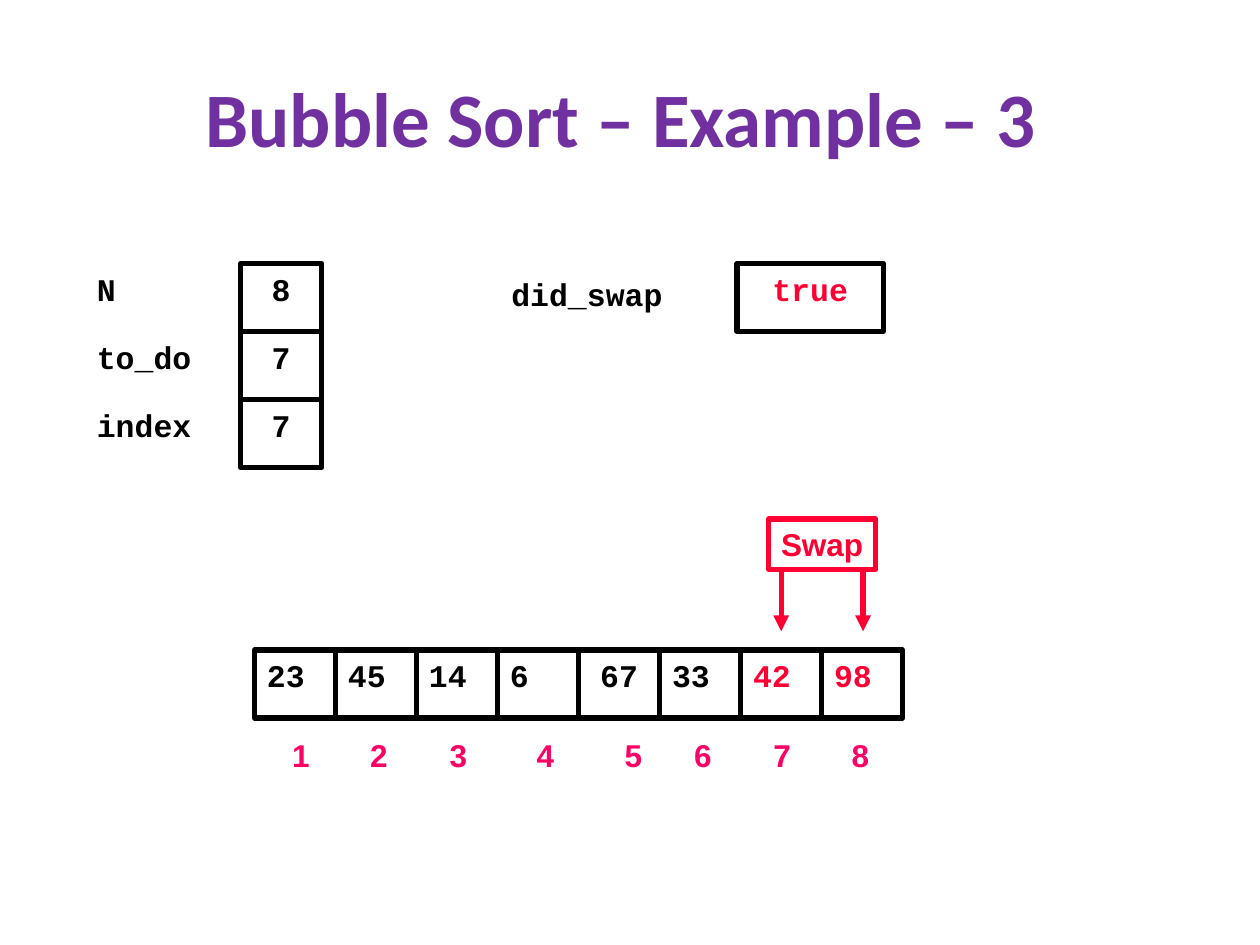
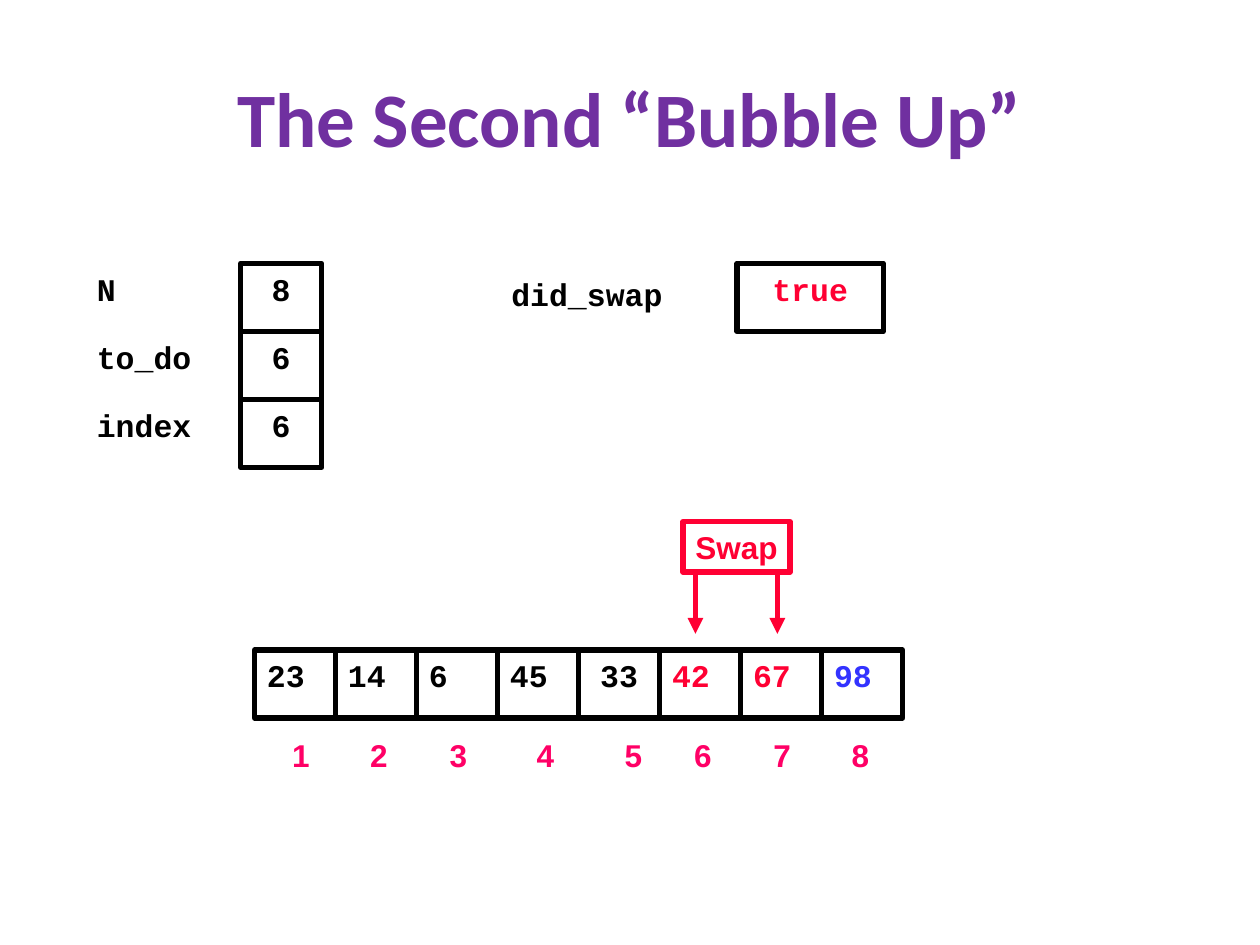
from lxml.etree import SubElement
from pptx import Presentation
from pptx.dml.color import RGBColor
from pptx.enum.shapes import MSO_CONNECTOR, MSO_SHAPE
from pptx.enum.text import MSO_ANCHOR, PP_ALIGN
from pptx.oxml.ns import qn
from pptx.util import Inches, Pt

# Content: sorted holds the 1-based positions already in place
STEPS = [
    {"title": "Bubble Sort – Example – 3 ",
     "variables": [("N", "8"), ("to_do", "7"), ("index", "7")],
     "did_swap": "true",
     "values": [23, 45, 14, 6, 67, 33, 42, 98],
     "swapped": (7, 8), "sorted": (), "swap_at": (6.1, 4.12)},
    {"title": "The Second “Bubble Up”",
     "variables": [("N", "8"), ("to_do", "6"), ("index", "6")],
     "did_swap": "true",
     "values": [23, 14, 6, 45, 33, 42, 67, 98],
     "swapped": (6, 7), "sorted": (8,), "swap_at": (5.42, 4.14)},
]

# Shared style
BLACK = RGBColor(0x00, 0x00, 0x00)
PURPLE = RGBColor(0x70, 0x30, 0xA0)
RED = RGBColor(0xFF, 0x00, 0x33)
PINK = RGBColor(0xFF, 0x00, 0x66)
BLUE = RGBColor(0x33, 0x33, 0xFF)
CODE, SANS, TITLE_FONT = "Courier New", "Arial", "Calibri"
LEFT, CENTER = PP_ALIGN.LEFT, PP_ALIGN.CENTER

# Grid, in inches
SLIDE_W, SLIDE_H = 10, 7.5
CELL_W, CELL_H, LABEL_H = 0.643, 0.54, 0.4
ARRAY_X, ARRAY_Y = 2.02, 5.16
VARIABLES_Y, LABEL_X, VALUE_X = 2.09, 0.67, 1.91
CENTERED_POSITION = 5
POSITION_TABS = (0.62, 1.25, 1.94, 2.64, 3.19, 3.82, 4.44)
SWAP_W, ARROW_INSET, ARROW_GAP, ARROW_LEN = 0.85, 0.1, 0.65, 0.49


def write(box, text, color=BLACK, font=CODE, size=18, align=LEFT,
          anchor=MSO_ANCHOR.TOP, wrap=False, tabs=()):
    frame = box.text_frame
    frame.word_wrap = wrap
    frame.vertical_anchor = anchor
    paragraph = frame.paragraphs[0]
    paragraph.text = text
    paragraph.alignment = align
    if tabs:
        stops = SubElement(paragraph._p.get_or_add_pPr(), qn("a:tabLst"))
        for tab in tabs:
            SubElement(stops, qn("a:tab"), pos=str(Inches(tab)), algn="l")
    for run in paragraph.runs:
        run.font.name, run.font.size, run.font.bold = font, Pt(size), True
        run.font.color.rgb = color


def label(slide, x, y, w, h, text, **style):
    box = slide.shapes.add_textbox(*map(Inches, (x, y, w, h)))
    write(box, text, **style)


def cell(slide, x, y, w, h, text, border=BLACK, **style):
    box = slide.shapes.add_shape(MSO_SHAPE.RECTANGLE, *map(Inches, (x, y, w, h)))
    box.shadow.inherit = False
    box.fill.background()
    box.line.color.rgb, box.line.width = border, Pt(3)
    write(box, text, **style)


def red_line(slide, x1, y1, x2, y2, arrow=False):
    line = slide.shapes.add_connector(
        MSO_CONNECTOR.STRAIGHT, *map(Inches, (x1, y1, x2, y2)))
    line.line.color.rgb, line.line.width = RED, Pt(3)
    if arrow:
        SubElement(line.line._get_or_add_ln(), qn("a:tailEnd"), type="triangle")
    SubElement(line._element.spPr, qn("a:effectLst"))


def draw_variables(slide, step):
    for row, (name, value) in enumerate(step["variables"]):
        y = VARIABLES_Y + row * CELL_H
        label(slide, LABEL_X, y, 0.95, LABEL_H, name)
        cell(slide, VALUE_X, y, CELL_W, CELL_H, value, align=CENTER)
    label(slide, 3.96, VARIABLES_Y + 0.04, 2, LABEL_H, "did_swap")
    cell(slide, 5.85, VARIABLES_Y, 1.16, CELL_H, step["did_swap"],
         color=RED, align=CENTER)


def draw_array(slide, step):
    for position, value in enumerate(step["values"], 1):
        color = (RED if position in step["swapped"]
                 else BLUE if position in step["sorted"] else BLACK)
        cell(slide, ARRAY_X + (position - 1) * CELL_W, ARRAY_Y, CELL_W, CELL_H,
             str(value), color=color,
             align=CENTER if position == CENTERED_POSITION else LEFT)
    positions = range(1, len(step["values"]) + 1)
    label(slide, 2.22, 5.79, 4.9, LABEL_H, "\t".join(map(str, positions)),
          color=PINK, font=SANS, wrap=True, tabs=POSITION_TABS)


def draw_swap(slide, step):
    x, y = step["swap_at"]
    bottom = y + LABEL_H
    first = x + ARROW_INSET
    second = first + ARROW_GAP
    for arrow_x in (first, second):
        red_line(slide, arrow_x, bottom, arrow_x, bottom + ARROW_LEN, arrow=True)
    red_line(slide, first, bottom, second, bottom)
    cell(slide, x, y, SWAP_W, LABEL_H, "Swap", border=RED, color=RED, font=SANS)


def main():
    deck = Presentation()
    deck.slide_width, deck.slide_height = Inches(SLIDE_W), Inches(SLIDE_H)
    for step in STEPS:
        slide = deck.slides.add_slide(deck.slide_layouts[6])
        label(slide, 0.05 * SLIDE_W, 0.04 * SLIDE_H, 0.9 * SLIDE_W, 1.25,
              step["title"], color=PURPLE, font=TITLE_FONT, size=44,
              align=CENTER, anchor=MSO_ANCHOR.MIDDLE, wrap=True)
        draw_variables(slide, step)
        draw_array(slide, step)
        draw_swap(slide, step)
    deck.save("out.pptx")


if __name__ == "__main__":
    main()
